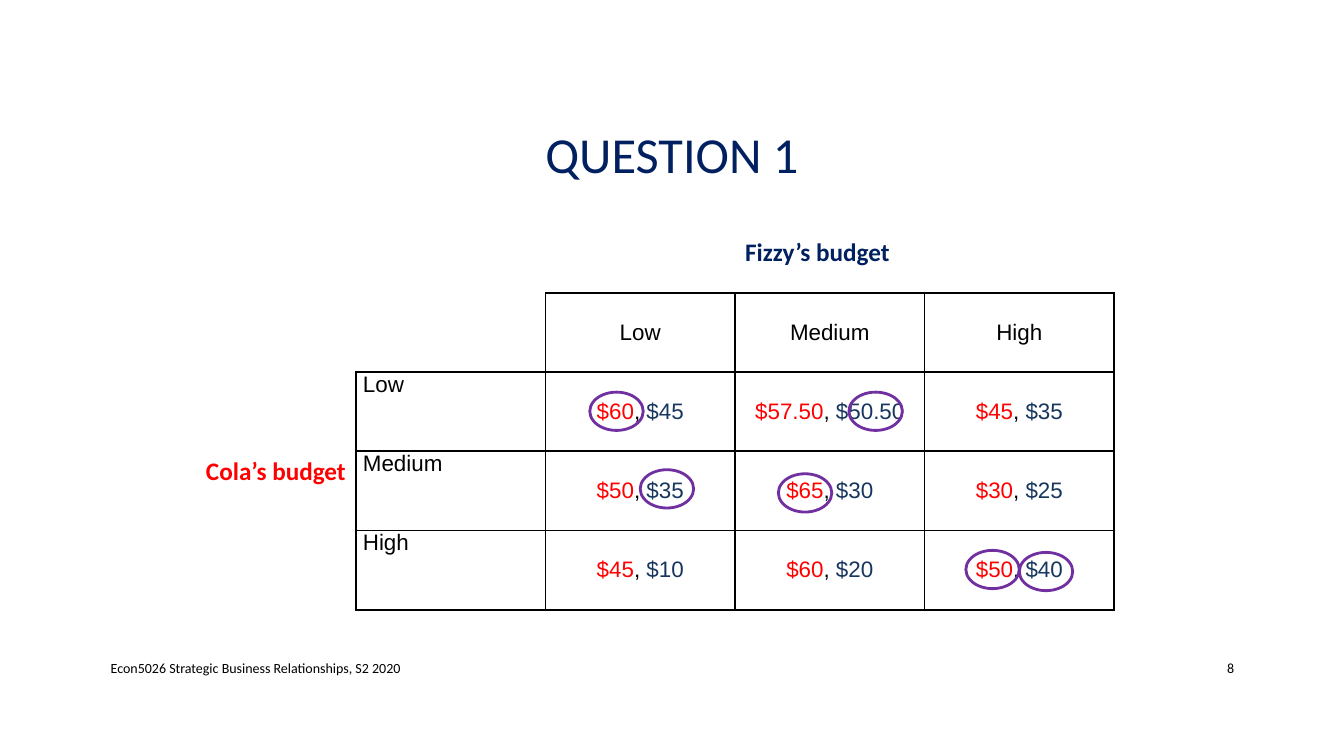
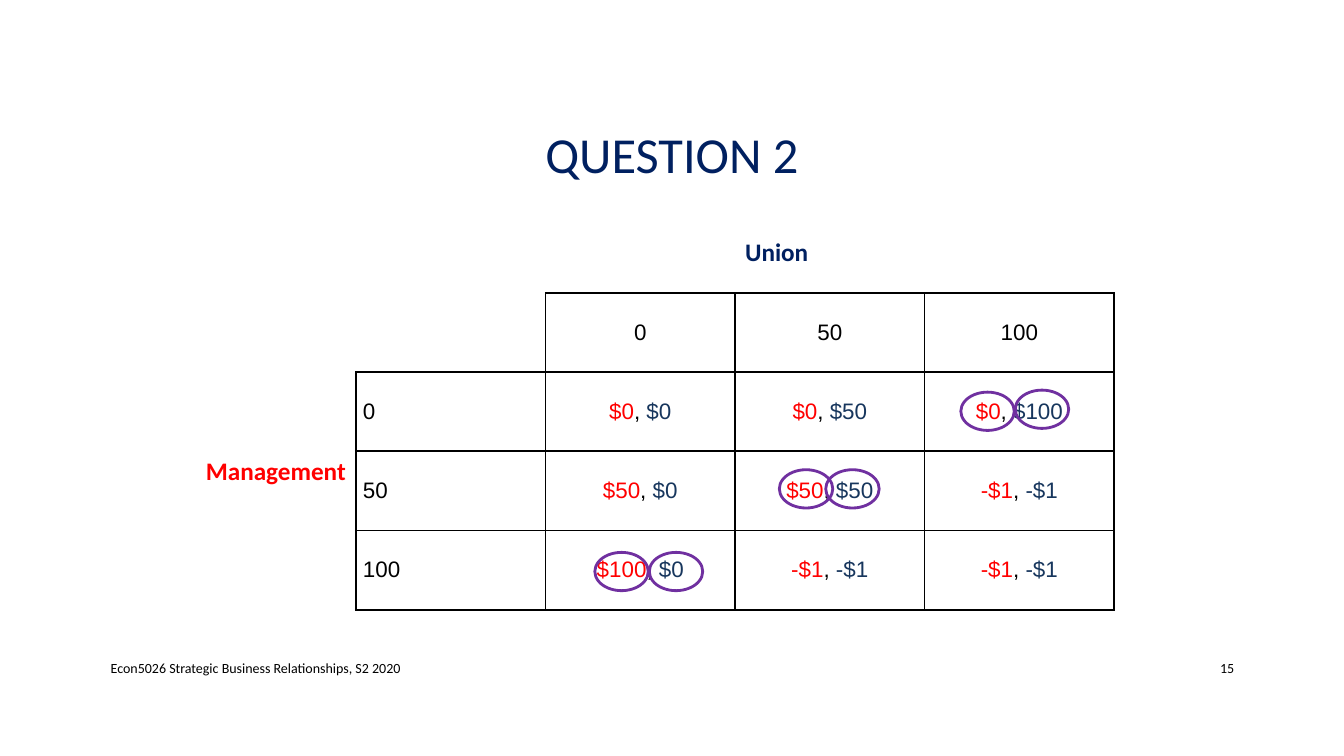
from pptx import Presentation
from pptx.dml.color import RGBColor
from pptx.enum.shapes import MSO_SHAPE
from pptx.enum.text import MSO_ANCHOR, PP_ALIGN
from pptx.oxml import parse_xml
from pptx.oxml.ns import nsdecls
from pptx.util import Inches, Pt

NAVY, BLUE, RED = "002060", "17365D", "FF0000"
BLACK, WHITE, PURPLE = "000000", "FFFFFF", "7030A0"
SIDES = {"L": (0, -1), "R": (0, 1), "T": (-1, 0), "B": (1, 0)}
GRID = 5


def color(value):
    """Turn a hex string into a colour."""
    return RGBColor.from_string(value)


def is_boxed(row, column):
    """Tell whether a cell of the payoff table is framed."""
    return 1 <= row < GRID and 1 <= column < GRID and (row, column) != (1, 1)


class GameDeck:
    """Style of the deck and the slide being built."""

    def __init__(self):
        """Open an empty widescreen deck."""
        self.deck = Presentation()
        self.deck.slide_width = Inches(13.33)
        self.deck.slide_height = Inches(7.5)
        self.page = None

    def style(self, para, size, name, shade, bold=False, align=PP_ALIGN.LEFT):
        """Set the font and alignment of a paragraph."""
        para.alignment = align
        para.font.size = Pt(size)
        para.font.name = name
        para.font.bold = bold
        para.font.color.rgb = color(shade)

    def add_page(self, title, number):
        """Start a slide with its title and footer."""
        self.page = self.deck.slides.add_slide(self.deck.slide_layouts[5])
        box = self.page.shapes.title
        box.left, box.top = Inches(1), Inches(0.68)
        box.width, box.height = Inches(11.33), Inches(1.75)
        box.text_frame.vertical_anchor = MSO_ANCHOR.MIDDLE
        para = box.text_frame.paragraphs[0]
        para.text = title
        para.line_spacing = 0.9
        self.style(para, 36, "Calibri", NAVY, align=PP_ALIGN.CENTER)
        self.add_footer("Econ5026 Strategic Business Relationships, S2 2020", 1, 7.3, PP_ALIGN.LEFT)
        self.add_footer(str(number), 11.5, 0.84, PP_ALIGN.RIGHT)

    def add_footer(self, text, left, width, align):
        """Write one part of the footer."""
        box = self.page.shapes.add_textbox(Inches(left), Inches(6.43), Inches(width), Inches(0.4))
        frame = box.text_frame
        frame.word_wrap = True
        frame.vertical_anchor = MSO_ANCHOR.MIDDLE
        para = frame.paragraphs[0]
        para.text = text
        self.style(para, 10, "Calibri", BLACK, align=align)

    def add_borders(self, cell, row, column):
        """Frame a cell in black wherever it or its neighbour is boxed."""
        properties = cell._tc.get_or_add_tcPr()
        for side, (down, across) in SIDES.items():
            framed = is_boxed(row, column) or is_boxed(row + down, column + across)
            shade, width = (BLACK, Pt(1.5)) if framed else (WHITE, Pt(1))
            properties.append(parse_xml(
                f'<a:ln{side} {nsdecls("a")} w="{width}"><a:solidFill>'
                f'<a:srgbClr val="{shade}"/></a:solidFill></a:ln{side}>'))

    def add_label(self, cell, text, align=PP_ALIGN.LEFT, anchor=MSO_ANCHOR.MIDDLE):
        """Fill a framed cell, colouring the two payoffs of a pair."""
        cell.margin_left = cell.margin_right = Inches(0.07)
        cell.margin_top = cell.margin_bottom = 0
        cell.vertical_anchor = anchor
        para = cell.text_frame.paragraphs[0]
        self.style(para, 16, "Arial", BLACK, align=align)
        first, comma, second = text.partition(", ")
        shades = (RED, BLACK, BLUE) if comma else (BLACK,)
        for part, shade in zip((first, comma, second), shades):
            span = para.add_run()
            span.text = part
            span.font.size = Pt(16)
            span.font.name = "Arial"
            span.font.color.rgb = color(shade)

    def add_player(self, cell, name, shade, align, anchor):
        """Name a player beside the table."""
        cell.vertical_anchor = anchor
        para = cell.text_frame.paragraphs[0]
        para.text = name
        self.style(para, 18, "Calibri", shade, True, align)

    def add_game(self, row_player, column_player, moves, payoffs, row_anchor):
        """Draw the payoff table of a two-player game."""
        table = self.page.shapes.add_table(
            GRID, GRID, Inches(1.65), Inches(2.12), Inches(9.4), Inches(3.93)).table
        table.first_row = table.horz_banding = False
        for row in range(GRID):
            for column in range(GRID):
                cell = table.cell(row, column)
                self.add_borders(cell, row, column)
                cell.fill.background()
        self.add_player(table.cell(0, 3), column_player, NAVY, PP_ALIGN.LEFT, MSO_ANCHOR.MIDDLE)
        self.add_player(table.cell(3, 0), row_player, RED, PP_ALIGN.RIGHT, MSO_ANCHOR.TOP)
        for index, (move, pairs) in enumerate(zip(moves, payoffs), start=2):
            self.add_label(table.cell(1, index), move, PP_ALIGN.CENTER)
            self.add_label(table.cell(index, 1), move, anchor=row_anchor)
            for column, pair in enumerate(pairs, start=2):
                self.add_label(table.cell(index, column), pair, PP_ALIGN.CENTER)

    def add_circles(self, corners):
        """Circle the best responses."""
        for left, top in corners:
            circle = self.page.shapes.add_shape(
                MSO_SHAPE.OVAL, Inches(left), Inches(top), Inches(0.53), Inches(0.38))
            circle.shadow.inherit = False
            circle.fill.background()
            circle.line.color.rgb = color(PURPLE)
            circle.line.width = Pt(2)


def main():
    """Build and save the deck."""
    game = GameDeck()
    game.add_page("QUESTION 1", 8)
    game.add_game(
        "Cola’s budget", "Fizzy’s budget", ("Low", "Medium", "High"),
        (("$60, $45", "$57.50, $50.50", "$45, $35"),
         ("$50, $35", "$65, $30", "$30, $25"),
         ("$45, $10", "$60, $20", "$50, $40")),
        MSO_ANCHOR.TOP)
    game.add_circles(((9.58, 5.46), (7.72, 4.7), (5.85, 3.89),
                      (8.42, 3.89), (6.35, 4.66), (10.11, 5.48)))
    game.add_page("QUESTION 2", 15)
    game.add_game(
        "Management", "Union", ("0", "50", "100"),
        (("$0, $0", "$0, $50", "$0, $100"),
         ("$50, $0", "$50, $50", "-$1, -$1"),
         ("$100, $0", "-$1, -$1", "-$1, -$1")),
        MSO_ANCHOR.MIDDLE)
    game.add_circles(((5.9, 5.48), (7.73, 4.66), (9.53, 3.89),
                      (10.07, 3.87), (8.19, 4.66), (6.44, 5.48)))
    game.deck.save("out.pptx")


if __name__ == "__main__":
    main()
